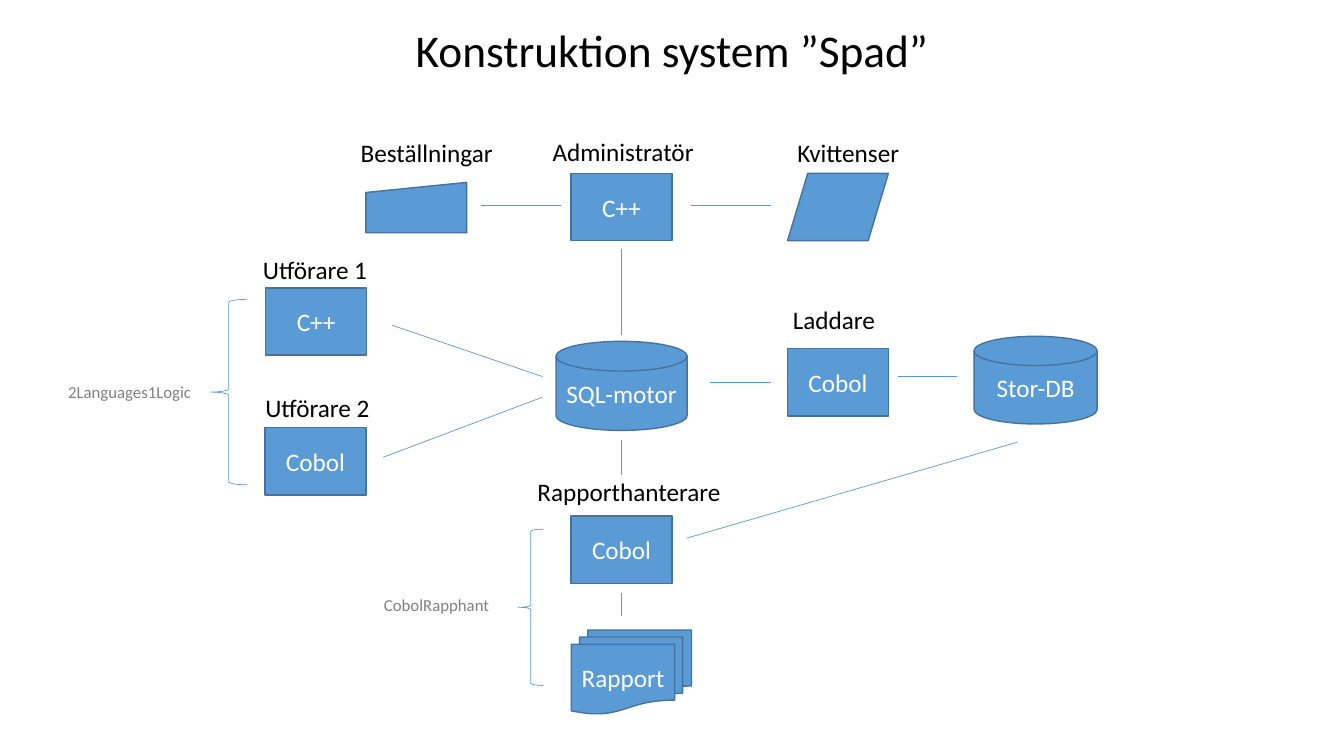
import pptx
import pptx.util
import pptx.dml.color
import pptx.enum.shapes
import pptx.enum.text
import pptx.oxml.ns
import lxml.etree

SHAPE = pptx.enum.shapes.MSO_SHAPE
ALIGN = pptx.enum.text.PP_ALIGN
ANCHOR = pptx.enum.text.MSO_ANCHOR
COLORS = {"fill": "5B9BD5", "outline": "43739E", "text": "000000",
          "inverse": "FFFFFF", "note": "808080"}
FONT = "Calibri"

# Grid of square cells: 40 columns across, 22.5 rows down
SLIDE_W = pptx.util.Inches(13.333)
SLIDE_H = pptx.util.Inches(7.5)
CELL = SLIDE_H / 22.5
AXIS = 18.5          # column of the vertical chain in the middle
BOX = (3, 2)         # columns and rows of a program box


def grid(*cells):
    return [round(c * CELL) for c in cells]


def rgb(name):
    return pptx.dml.color.RGBColor.from_string(COLORS[name])


def set_text(sp, text, size=18, color="text", align=ALIGN.LEFT,
             anchor=ANCHOR.TOP, spacing=None):
    tf = sp.text_frame
    tf.word_wrap = True
    tf.vertical_anchor = anchor
    p = tf.paragraphs[0]
    p.alignment = align
    p.line_spacing = spacing
    r = p.add_run()
    r.text = text
    r.font.name = FONT
    r.font.size = pptx.util.Pt(size)
    r.font.color.rgb = rgb(color)


def add_label(s, text, x, y, w, h=1.2, **fmt):
    set_text(s.shapes.add_textbox(*grid(x, y, w, h)), text, **fmt)


def add_node(s, kind, x, y, w, h, text=None):
    sp = s.shapes.add_shape(kind, *grid(x, y, w, h))
    sp.shadow.inherit = False
    sp.fill.solid()
    sp.fill.fore_color.rgb = rgb("fill")
    sp.line.color.rgb = rgb("outline")
    sp.line.width = pptx.util.Pt(1)
    if text:
        set_text(sp, text, color="inverse", align=ALIGN.CENTER,
                 anchor=ANCHOR.MIDDLE)


def thin_line(sp):
    sp.line.color.rgb = rgb("fill")
    sp.line.width = pptx.util.Pt(0.5)


def add_brace(s, x, y, w, h):
    sp = s.shapes.add_shape(SHAPE.LEFT_BRACE, *grid(x, y, w, h))
    sp.shadow.inherit = False
    sp.fill.background()
    thin_line(sp)


def add_link(s, x1, y1, x2, y2):
    line = s.shapes.add_connector(pptx.enum.shapes.MSO_CONNECTOR.STRAIGHT,
                                  *grid(x1, y1, x2, y2))
    thin_line(line)
    lxml.etree.SubElement(line._element.spPr,
                          pptx.oxml.ns.qn("a:effectLst"))


def add_title(s, text):
    sp = s.shapes.title
    sp.left, sp.top, sp.width, sp.height = grid(5, 0.69, 30, 1.77)
    set_text(sp, text, size=32.4, align=ALIGN.CENTER,
             anchor=ANCHOR.BOTTOM, spacing=0.9)


def main():
    prs = pptx.Presentation()
    prs.slide_width, prs.slide_height = SLIDE_W, SLIDE_H
    s = prs.slides.add_slide(prs.slide_layouts[5])
    add_title(s, "Konstruktion system ”Spad”")

    # Programs
    for text, x, y in [("C++", AXIS - 1.5, 5.16), ("C++", 7.91, 8.57),
                       ("Cobol", 7.89, 12.73), ("Cobol", 23.44, 10.38),
                       ("Cobol", AXIS - 1.5, 15.36)]:
        add_node(s, SHAPE.FLOWCHART_PROCESS, x, y, *BOX, text)

    # Databases, input and output
    add_node(s, SHAPE.FLOWCHART_MAGNETIC_DISK, 16.55, 10.16, 3.9, 2.65, "SQL-motor")
    add_node(s, SHAPE.FLOWCHART_MAGNETIC_DISK, 28.99, 10.01, 3.66, 2.61, "Stor-DB")
    add_node(s, SHAPE.FLOWCHART_MANUAL_INPUT, 10.89, 5.43, 3, 1.5)
    add_node(s, SHAPE.FLOWCHART_DATA, 23.44, 5.16, *BOX)
    add_node(s, SHAPE.FLOWCHART_MULTIDOCUMENT, 17, 18.75, 3.58, 2.5, "Rapport")

    # Names above the parts
    for text, x, y, w in [("Beställningar", 10.44, 3.94, 4.83),
                          ("Administratör", 16.15, 3.9, 4.98),
                          ("Kvittenser", 23.44, 3.94, 4.32),
                          ("Utförare 1", 7.53, 7.42, 4.14),
                          ("Utförare 2", 7.6, 11.52, 4.14),
                          ("Laddare", 23.3, 8.92, 3.21),
                          ("Rapporthanterare", 15.7, 14.04, 6.3)]:
        add_label(s, text, x, y, w)

    # Vertical links on the axis
    for top, bottom in [(7.42, 9.96), (13.1, 14.15), (17.66, 18.33)]:
        add_link(s, AXIS, top, AXIS, bottom)

    # Horizontal links
    for y, left, right in [(6.11, 14.31, 16.7), (6.11, 20.57, 22.95),
                           (11.39, 21.13, 22.95), (11.21, 26.73, 28.48)]:
        add_link(s, left, y, right, y)

    # Slanted links
    add_link(s, 11.67, 9.68, 16.15, 11.21)
    add_link(s, 11.4, 13.61, 16.15, 11.82)
    add_link(s, 30.28, 13.16, 20.43, 16.02)

    # Project groups
    for text, x, y, w in [("2Languages1Logic", 1.73, 11.22, 4.53),
                          ("CobolRapphant", 11.13, 17.56, 5.67)]:
        add_label(s, text, x, y, w, 0.9, size=12, color="note")
    add_brace(s, 6.25, 8.91, 1.11, 5.52)
    add_brace(s, 15.42, 15.75, 0.75, 4.65)

    prs.save("out.pptx")


if __name__ == "__main__":
    main()
